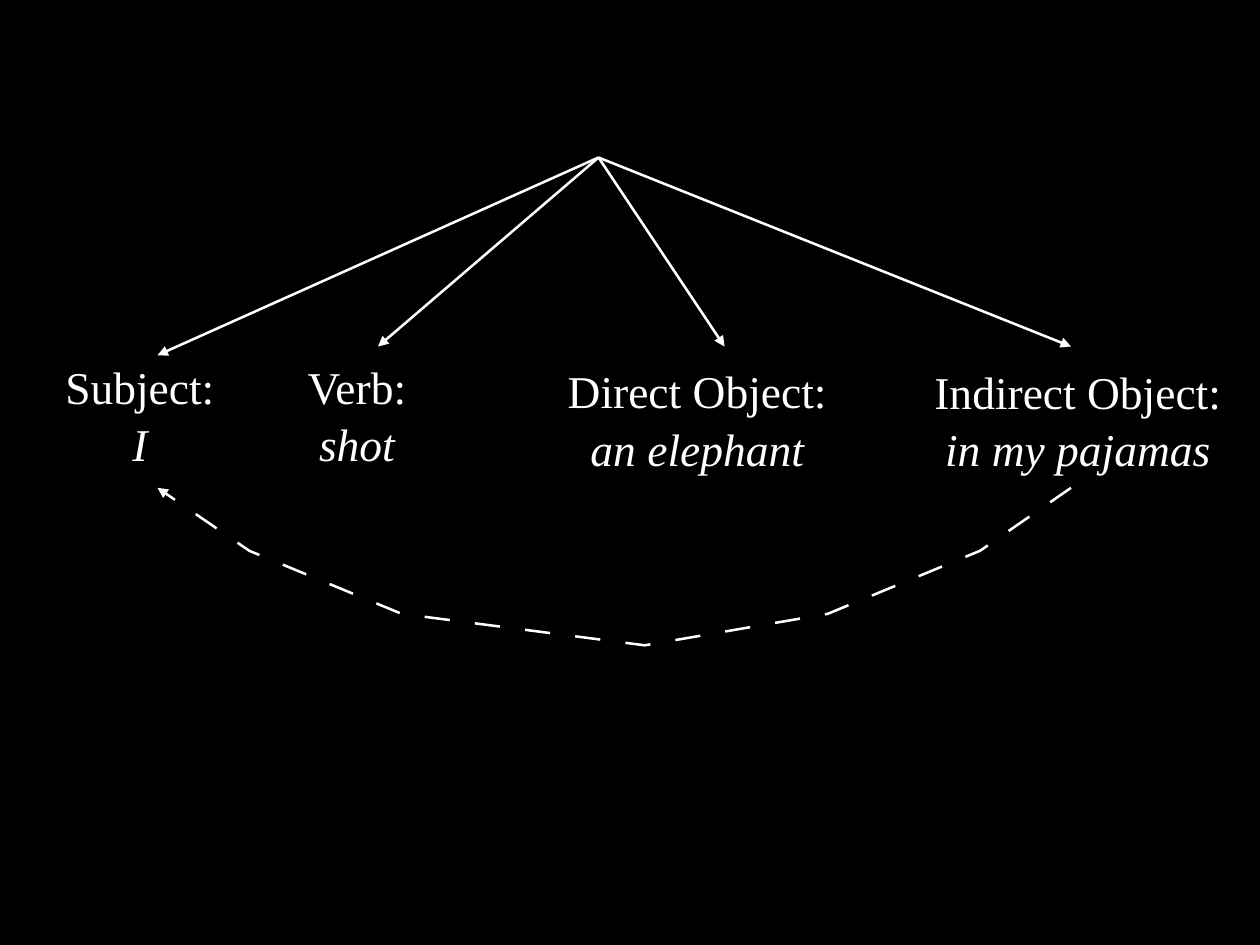
from dataclasses import dataclass

from lxml.etree import SubElement
from pptx import Presentation
from pptx.dml.color import RGBColor
from pptx.enum.shapes import MSO_CONNECTOR
from pptx.enum.text import MSO_AUTO_SIZE, PP_ALIGN
from pptx.oxml.ns import qn
from pptx.util import Pt


@dataclass(frozen=True)
class Theme:
    back: RGBColor = RGBColor(0, 0, 0)
    ink: RGBColor = RGBColor(255, 255, 255)
    font: str = "Times New Roman"
    size: float = 26
    line: float = 1.45


THEME = Theme()

# role, words, left, top, width
ROLES = [
    ("Subject:", "I", -18, 0, 196),
    ("Verb:", "shot", 150, 0, 108),
    ("Direct Object:", "an elephant", 263.5, 2.5, 270),
    ("Indirect Object:", "in my pajamas", 513.5, 3, 205),
]
ROLE_HIGH = 69
APEX = (252, 0)
TIPS = [(0, 113), (126, 108), (324, 108), (522, 108)]
ARC = [(522, 0), (470, 36), (383, 72), (278.5, 90),
       (139.5, 72), (52.5, 36), (0, 0)]


def style_line(shape, dash=False):
    """Give a line its colour, width and closing arrowhead."""
    shape.line.color.rgb = THEME.ink
    shape.line.width = Pt(THEME.line)
    props = shape.line._get_or_add_ln()
    if dash:
        stops = SubElement(props, qn("a:custDash"))
        SubElement(stops, qn("a:ds"), d="1000000", sp="1000000")
    SubElement(props, qn("a:tailEnd"), type="triangle")


def add_role(slide, left, top, wide, role, words):
    box = slide.shapes.add_textbox(Pt(left), Pt(top), Pt(wide), Pt(ROLE_HIGH))
    frame = box.text_frame
    frame.word_wrap = True
    frame.auto_size = MSO_AUTO_SIZE.SHAPE_TO_FIT_TEXT
    frame.text = f"{role}\n{words}"
    for para, slant in zip(frame.paragraphs, (False, True)):
        para.alignment = PP_ALIGN.CENTER
        para.line_spacing = 1.05
        font = para.font
        font.name, font.size = THEME.font, Pt(THEME.size)
        font.color.rgb, font.italic = THEME.ink, slant


def add_roles(slide, left, top):
    for role, words, x, y, wide in ROLES:
        add_role(slide, left + x, top + y, wide, role, words)


def add_tree(slide, left, top):
    """Draw the arrows that fan out from the apex to each role."""
    for x, y in TIPS:
        arrow = slide.shapes.add_connector(
            MSO_CONNECTOR.STRAIGHT,
            Pt(left + APEX[0]), Pt(top + APEX[1]), Pt(left + x), Pt(top + y))
        style_line(arrow)
        SubElement(arrow._element.spPr, qn("a:effectLst"))


def add_arc(slide, left, top):
    """Draw the dashed arrow from the indirect object to the subject."""
    start, *rest = [(Pt(left + x), Pt(top + y)) for x, y in ARC]
    pen = slide.shapes.build_freeform(*start)
    pen.add_line_segments(rest, close=False)
    arc = pen.convert_to_shape()
    arc.fill.background()
    arc.shadow.inherit = False
    style_line(arc, dash=True)


def main():
    deck = Presentation()
    deck.slide_width, deck.slide_height = Pt(720), Pt(540)
    slide = deck.slides.add_slide(deck.slide_layouts[6])
    fill = slide.background.fill
    fill.solid()
    fill.fore_color.rgb = THEME.back
    add_roles(slide, 0, 200)
    add_tree(slide, 90, 90)
    add_arc(slide, 90, 278.75)
    deck.save("out.pptx")


if __name__ == "__main__":
    main()
